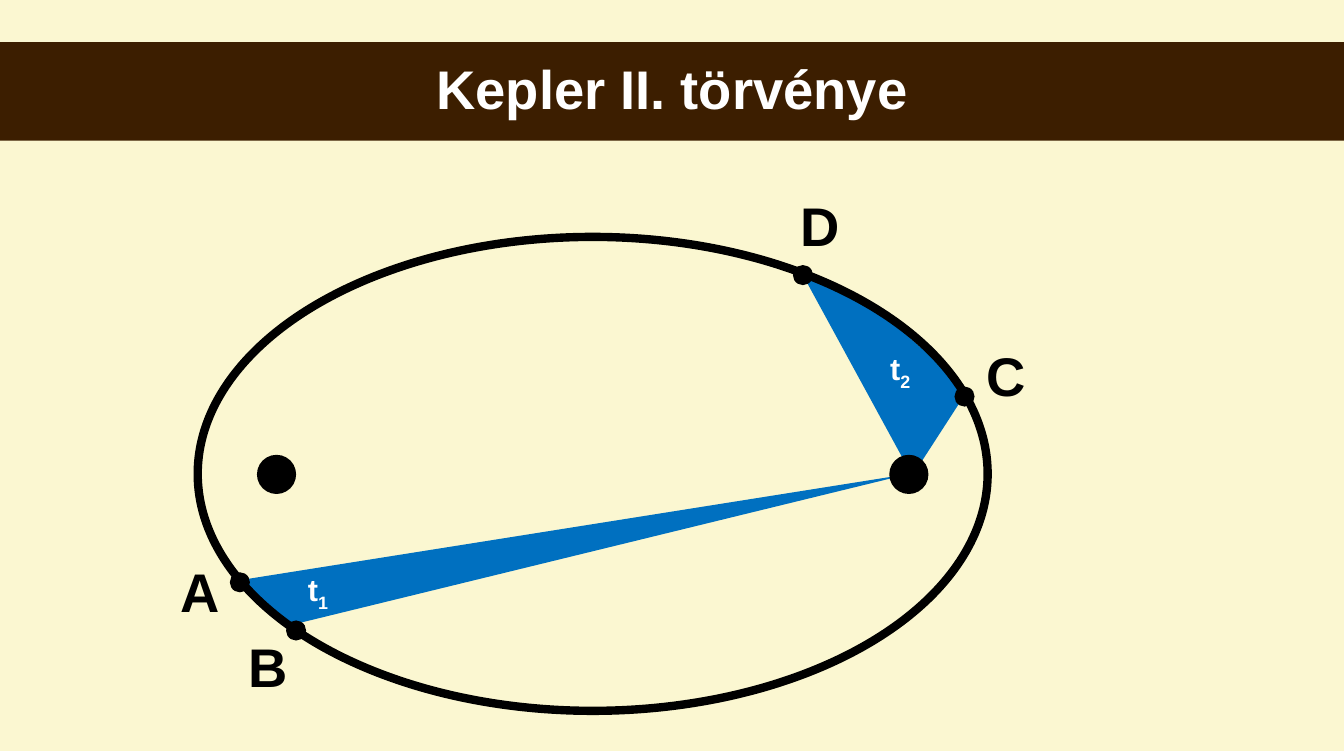
from typing import NamedTuple

import pptx
import pptx.dml.color
import pptx.enum.shapes
import pptx.enum.text
import pptx.shapes.autoshape
import pptx.slide
import pptx.text.text
import pptx.util

PX = 9144  # EMU, 100 px to the inch
FONT = "Arial"
CREAM = pptx.dml.color.RGBColor(0xFB, 0xF7, 0xD1)
BROWN = pptx.dml.color.RGBColor(0x3C, 0x1E, 0x00)
BLUE = pptx.dml.color.RGBColor(0x00, 0x70, 0xC0)
BLACK = pptx.dml.color.RGBColor(0x00, 0x00, 0x00)
WHITE = pptx.dml.color.RGBColor(0xFF, 0xFF, 0xFF)
LARGE, SMALL = 39, 22
FOCUS_SIZE, PLANET_SIZE = 39, 20


class Dot(NamedTuple):
    left: int
    top: int
    size: int


class Label(NamedTuple):
    left: int
    top: int
    width: int
    height: int
    text: str
    size: int
    color: pptx.dml.color.RGBColor
    subscript: str = ""


SECTORS = [
    [(906, 472), (238, 578), (257, 595), (278, 615), (288, 623)],
    [(909, 474), (962, 392), (947, 372), (907, 337), (873, 307), (835, 289), (801, 276)],
]

DOTS = [
    Dot(886, 453, FOCUS_SIZE),
    Dot(951, 385, PLANET_SIZE),
    Dot(229, 570, PLANET_SIZE),
    Dot(285, 618, PLANET_SIZE),
    Dot(790, 264, PLANET_SIZE),
    Dot(256, 453, FOCUS_SIZE),
]

LABELS = [
    Label(297, 564, 105, 47, "t", SMALL, WHITE, "1"),
    Label(877, 344, 105, 47, "t", SMALL, WHITE, "2"),
    Label(170, 551, 120, 76, "A", LARGE, BLACK),
    Label(238, 626, 120, 76, "B", LARGE, BLACK),
    Label(788, 186, 120, 76, "D", LARGE, BLACK),
    Label(973, 336, 120, 76, "C", LARGE, BLACK),
]


def add_bold_run(
    paragraph: pptx.text.text._Paragraph, text: str, size: int, color: pptx.dml.color.RGBColor
) -> pptx.text.text._Run:
    run = paragraph.add_run()
    run.text = text
    run.font.name = FONT
    run.font.size = pptx.util.Pt(size)
    run.font.bold = True
    run.font.color.rgb = color
    return run


def paint(shape: pptx.shapes.autoshape.Shape, color: pptx.dml.color.RGBColor) -> None:
    """Give the shape a solid fill, with no line and no shadow."""
    shape.shadow.inherit = False
    shape.fill.solid()
    shape.fill.fore_color.rgb = color
    shape.line.fill.background()


def add_title(slide: pptx.slide.Slide) -> None:
    banner = slide.shapes.add_shape(
        pptx.enum.shapes.MSO_SHAPE.RECTANGLE, 0, 42 * PX, 1339 * PX, 98 * PX
    )
    paint(banner, BROWN)
    banner.text_frame.vertical_anchor = pptx.enum.text.MSO_ANCHOR.MIDDLE
    paragraph = banner.text_frame.paragraphs[0]
    paragraph.alignment = pptx.enum.text.PP_ALIGN.CENTER
    paragraph.line_spacing = 0.9
    add_bold_run(paragraph, "Kepler II. törvénye", LARGE, WHITE)


def add_sector(slide: pptx.slide.Slide, corners: list[tuple[int, int]]) -> None:
    """Draw the area swept from the Sun, which is the first corner."""
    builder = slide.shapes.build_freeform(*corners[0], scale=PX)
    builder.add_line_segments(corners[1:], close=True)
    paint(builder.convert_to_shape(), BLUE)


def add_orbit(slide: pptx.slide.Slide) -> None:
    orbit = slide.shapes.add_shape(
        pptx.enum.shapes.MSO_SHAPE.OVAL, 197 * PX, 236 * PX, 787 * PX, 472 * PX
    )
    orbit.shadow.inherit = False
    orbit.fill.background()
    orbit.line.color.rgb = BLACK
    orbit.line.width = pptx.util.Pt(6)


def add_dot(slide: pptx.slide.Slide, dot: Dot) -> None:
    body = slide.shapes.add_shape(
        pptx.enum.shapes.MSO_SHAPE.OVAL, dot.left * PX, dot.top * PX, dot.size * PX, dot.size * PX
    )
    paint(body, BLACK)


def add_label(slide: pptx.slide.Slide, label: Label) -> None:
    caption = slide.shapes.add_textbox(
        label.left * PX, label.top * PX, label.width * PX, label.height * PX
    )
    frame = caption.text_frame
    frame.word_wrap = True
    frame.auto_size = pptx.enum.text.MSO_AUTO_SIZE.SHAPE_TO_FIT_TEXT
    paragraph = frame.paragraphs[0]
    add_bold_run(paragraph, label.text, label.size, label.color)
    if label.subscript:
        index = add_bold_run(paragraph, label.subscript, label.size, label.color)
        index._r.get_or_add_rPr().set("baseline", "-25000")


def main() -> None:
    presentation = pptx.Presentation()
    presentation.slide_width = 1339 * PX
    presentation.slide_height = 748 * PX
    slide = presentation.slides.add_slide(presentation.slide_layouts[6])
    slide.background.fill.solid()
    slide.background.fill.fore_color.rgb = CREAM

    add_title(slide)
    for corners in SECTORS:
        add_sector(slide, corners)
    add_orbit(slide)
    for dot in DOTS:
        add_dot(slide, dot)
    for label in LABELS:
        add_label(slide, label)

    presentation.save("out.pptx")


if __name__ == "__main__":
    main()
